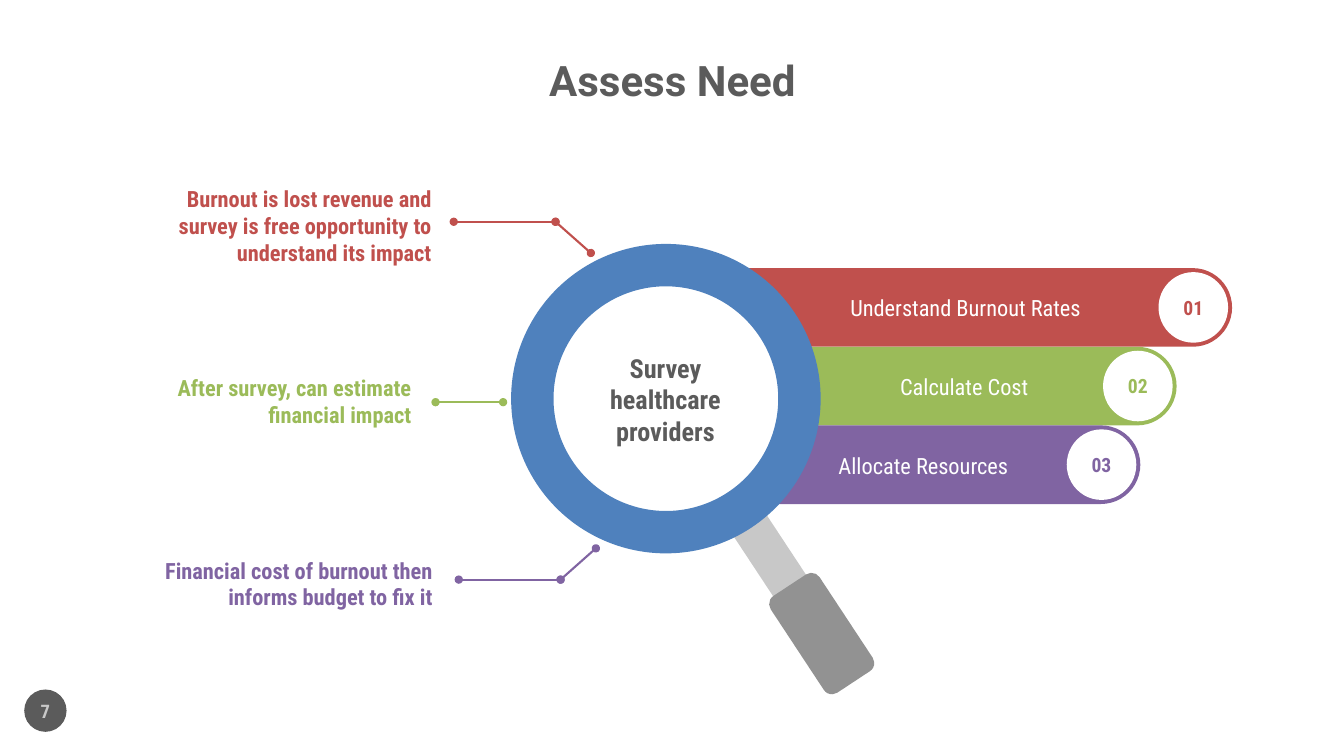
from lxml.etree import SubElement
from pptx import Presentation
from pptx.dml.color import RGBColor
from pptx.enum.shapes import MSO_CONNECTOR, MSO_SHAPE
from pptx.enum.text import MSO_ANCHOR, PP_ALIGN
from pptx.oxml.ns import qn
from pptx.util import Inches, Pt

HEX = {"red": "C0504D", "green": "9BBB59", "purple": "8064A2", "blue": "4F81BD",
       "dark": "5B5B5B", "gray": "929292", "light": "C8C8C8", "white": "FFFFFF"}
BODY = "Roboto Condensed"
TILT = 326.6

# colour, label, width of bar, right edge of label
BARS = [("red", "Understand Burnout Rates", 5.22, 3.72),
        ("green", "Calculate Cost", 4.67, 3.2),
        ("purple", "Allocate Resources", 4.31, 3)]
# colour, text, text box, points of the leader line
NOTES = [("red", "Burnout is lost revenue and survey is free opportunity to understand its impact",
          (1.22, 1.83, 3.06, 0.81), [(5.86, 2.51), (5.51, 2.2), (4.5, 2.2)]),
         ("green", "After survey, can estimate financial impact",
          (1.22, 3.71, 2.86, 0.54), [(4.99, 3.99), (4.32, 3.99)]),
         ("purple", "Financial cost of burnout then informs budget to fix it",
          (1.24, 5.52, 3.05, 0.54), [(5.91, 5.44), (5.56, 5.75), (4.55, 5.75)])]


def color(name):
    return RGBColor.from_string(HEX[name])


def write(shape, text, size, ink, align=PP_ALIGN.CENTER, bold=True, face=BODY):
    frame = shape.text_frame
    frame.word_wrap = True
    frame.vertical_anchor = MSO_ANCHOR.MIDDLE
    frame.margin_left = frame.margin_right = frame.margin_top = frame.margin_bottom = 0
    frame.text = text
    line = frame.paragraphs[0]
    line.alignment = align
    font = line.font
    font.name, font.size, font.bold = face, Pt(size), bold
    font.color.rgb = color(ink)
    return line


def add_text(slide, box, *args, **style):
    write(slide.shapes.add_textbox(*map(Inches, box)), *args, **style)


def add_form(shapes, kind, box, fill, adj=None, turn=0):
    form = shapes.add_shape(kind, *map(Inches, box))
    form.shadow.inherit = False
    form.fill.solid()
    form.fill.fore_color.rgb = color(fill)
    form.line.fill.background()
    form.rotation = turn
    if adj is not None:
        form.adjustments[0] = adj
    return form


def add_title(slide, box, text):
    title = slide.shapes.title
    title.left, title.top, title.width, title.height = map(Inches, box)
    write(title, text, 30, "dark", face="Roboto").line_spacing = 0.9


def add_bars(slide, left, top, height):
    for i, (tint, label, width, edge) in enumerate(BARS):
        y = top + i * height
        add_form(slide.shapes, MSO_SHAPE.ROUNDED_RECTANGLE, (left, y, width, height), tint, 0.5)
        badge = add_form(slide.shapes, MSO_SHAPE.OVAL,
                         (left + width - 0.73, y + 0.04, 0.69, 0.7), "white")
        write(badge, f"{i + 1:02}", 14, tint)
        add_text(slide, (left + edge - 3, y + 0.26, 3, 0.27), label, 16, "white",
                 PP_ALIGN.RIGHT, bold=False)


def add_lens(slide, left, top, size):
    """Draw the magnifying glass, its ring filling a square box."""
    shapes = slide.shapes.add_group_shape().shapes
    add_form(shapes, MSO_SHAPE.OVAL, (left + 0.1, top + 0.1, size - 0.2, size - 0.2), "white")
    add_form(shapes, MSO_SHAPE.RECTANGLE, (left + 2.38, top + 2.38, 0.39, 1.45),
             "light", turn=TILT)
    add_form(shapes, MSO_SHAPE.ROUNDED_RECTANGLE, (left + 2.79, top + 3.29, 0.58, 1.15),
             "gray", 0.167, TILT)
    add_form(shapes, MSO_SHAPE.DONUT, (left, top, size, size), "blue", 0.137, TILT)
    add_text(slide, (left + 0.74, top + 1.07, 1.58, 0.94),
             "Survey healthcare providers", 18.7, "dark")


def add_leader(slide, points, tint):
    """Join the points by lines with a dot at each end."""
    for start, end in zip(points, points[1:]):
        line = slide.shapes.add_connector(MSO_CONNECTOR.STRAIGHT, *map(Inches, start + end))
        line.line.color.rgb = color(tint)
        line.line.width = Pt(1.5)
        stroke = line.line._get_or_add_ln()
        for tip in ("a:headEnd", "a:tailEnd"):
            SubElement(stroke, qn(tip), type="oval")
        SubElement(line._element.spPr, qn("a:effectLst"))


def add_notes(slide):
    for tint, text, box, points in NOTES:
        add_leader(slide, points, tint)
        add_text(slide, box, text, 16, tint, PP_ALIGN.RIGHT)


def main():
    deck = Presentation()
    deck.slide_width, deck.slide_height = Inches(13.33), Inches(7.5)
    slide = deck.slides.add_slide(deck.slide_layouts[5])
    add_title(slide, (2.56, 0.56, 8.22, 0.52), "Assess Need")
    add_bars(slide, 7, 2.66, 0.78)
    add_lens(slide, 5.07, 2.42, 3.07)
    add_notes(slide)
    page = add_form(slide.shapes, MSO_SHAPE.OVAL, (0.24, 6.84, 0.42, 0.42), "dark")
    write(page, "7", 13.3, "light")
    deck.save("out.pptx")


if __name__ == "__main__":
    main()
